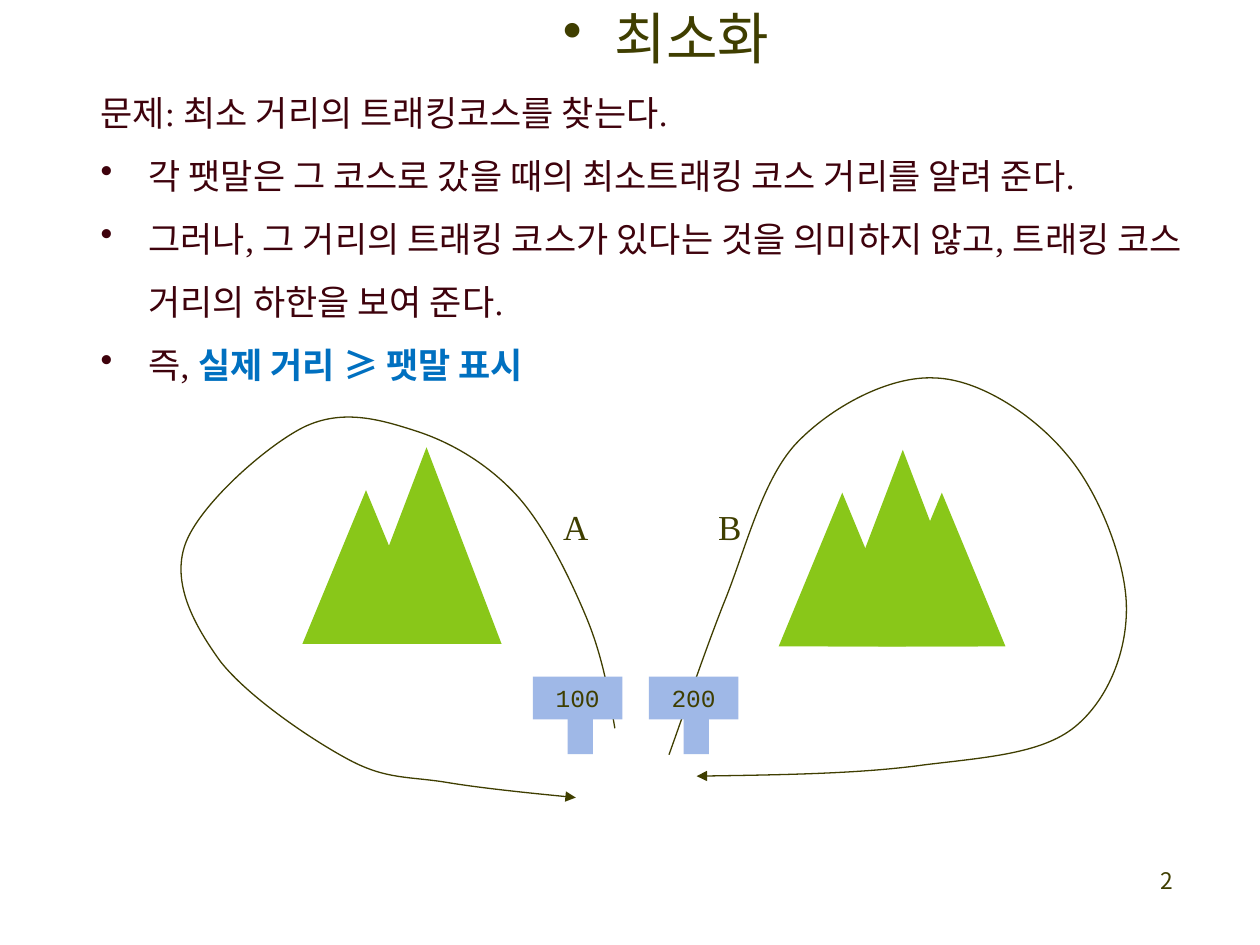
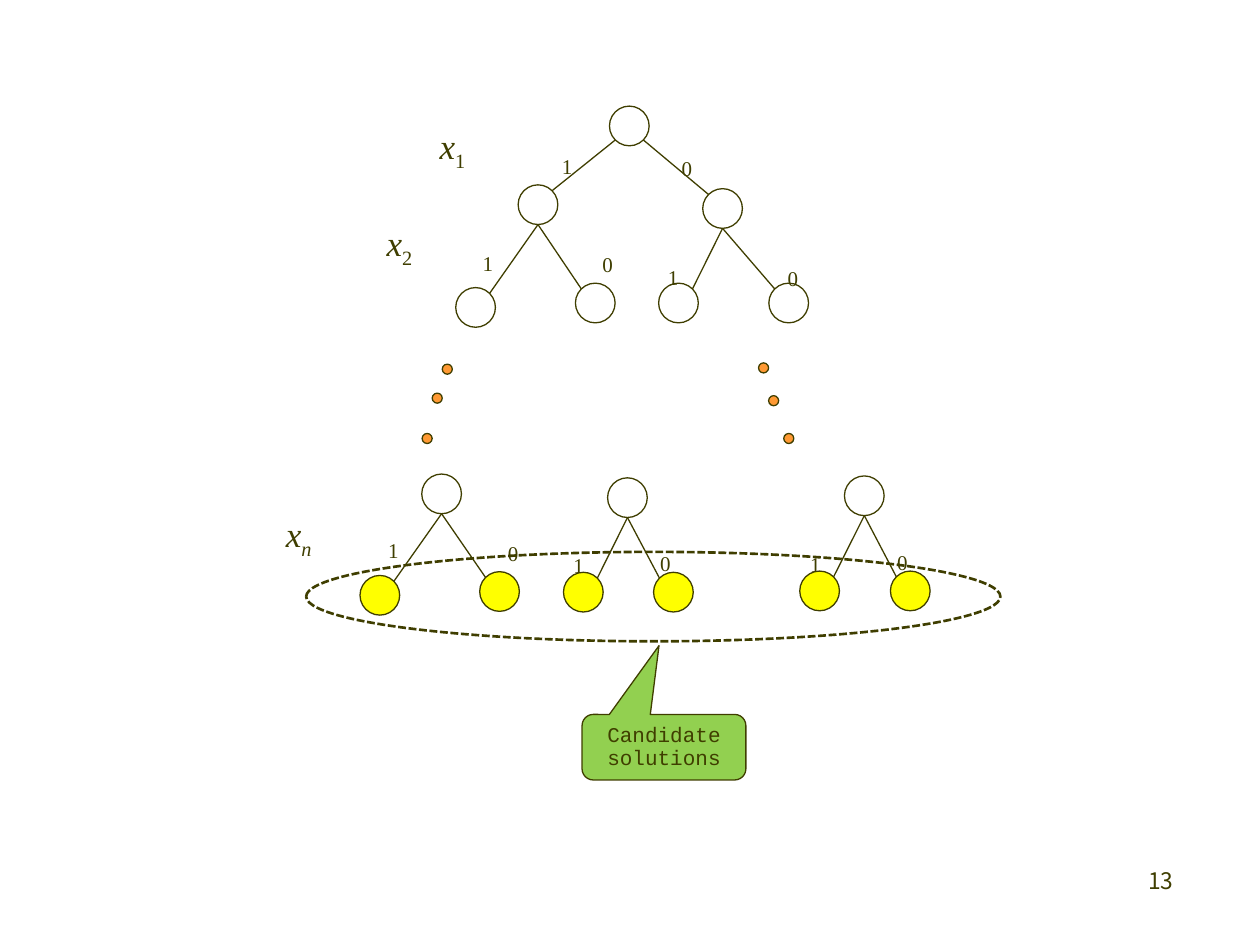
import dataclasses
import typing

import pptx
import pptx.dml.color
import pptx.enum.dml
import pptx.enum.shapes
import pptx.enum.text
import pptx.oxml.ns
import pptx.oxml.xmlchemy
import pptx.util
import lxml.etree

Point = tuple[float, float]
Box = tuple[float, float, float, float]
SHAPE = pptx.enum.shapes.MSO_SHAPE
ALIGN = pptx.enum.text.PP_ALIGN
ANCHOR = pptx.enum.text.MSO_ANCHOR
qn = pptx.oxml.ns.qn

COLUMNS, ROWS = 100, 75
INK, MAROON, BLUE = "3F3E00", "3E020C", "0070C0"
GREEN, SIGN, ORANGE, YELLOW, LIME = "89C719", "9FB8E7", "FF9933", "FFFF00", "92D050"
SERIF, MONO, KOREAN = "Times New Roman", "Courier New", "Noto Sans CJK KR"
NODE, DOT = 3.15, 0.8
CORNER = 1.1
LABEL_SPACING = pptx.util.Pt(28)

deck = pptx.Presentation()
deck.slide_width = pptx.util.Inches(10)
deck.slide_height = pptx.util.Inches(7.5)


@dataclasses.dataclass(frozen=True)
class Signpost:
    left: float
    distance: str


@dataclasses.dataclass(frozen=True)
class Course:
    name: str
    label: Box
    curve: list[Point]


@dataclasses.dataclass(frozen=True)
class Branch:
    parent: Point
    children: tuple[Point, Point]
    labels: tuple[Point, Point]
    fill: typing.Optional[str] = None


@dataclasses.dataclass(frozen=True)
class Variable:
    at: Point
    index: str
    slanted: bool = False


def across(columns: float) -> int:
    return round(deck.slide_width * columns / COLUMNS)


def down(rows: float) -> int:
    return round(deck.slide_height * rows / ROWS)


def place(box: Box) -> tuple[int, int, int, int]:
    left, top, width, height = box
    return across(left), down(top), across(width), down(height)


def color(value: str) -> pptx.dml.color.RGBColor:
    return pptx.dml.color.RGBColor.from_string(value)


def paint(shape, fill: typing.Optional[str] = None,
          line: typing.Optional[str] = None, width: float = 0.75) -> None:
    shape.shadow.inherit = False
    if fill:
        shape.fill.solid()
        shape.fill.fore_color.rgb = color(fill)
    else:
        shape.fill.background()
    if line:
        shape.line.color.rgb = color(line)
        shape.line.width = pptx.util.Pt(width)
    else:
        shape.line.fill.background()


def draw(shapes, kind, box: Box, **style):
    shape = shapes.add_shape(kind, *place(box))
    paint(shape, **style)
    return shape


def write(para, text: str, *, size: float, font: str = SERIF, ink: str = INK,
          bold: bool = False, italic: bool = False, baseline: int = 0,
          align=None, spacing=None) -> None:
    span = para.add_run()
    span.text = text
    span.font.size = pptx.util.Pt(size)
    span.font.name = font
    span.font.bold = bold
    span.font.italic = italic
    span.font.color.rgb = color(ink)
    properties = span._r.get_or_add_rPr()
    east_asian = lxml.etree.SubElement(properties, qn("a:ea"))
    east_asian.set("typeface", KOREAN)
    if baseline:
        properties.set("baseline", str(baseline * 1000))
    if align is not None:
        para.alignment = align
    if spacing is not None:
        para.line_spacing = spacing


def text_box(page, box: Box, wrap: bool = True, side: float = 1):
    frame = page.shapes.add_textbox(*place(box)).text_frame
    frame.word_wrap = wrap
    frame.margin_left = frame.margin_right = across(side)
    return frame


def bullet(para, indent: float) -> None:
    properties = para._p.get_or_add_pPr()
    properties.set("marL", str(across(indent)))
    properties.set("indent", str(-across(indent)))
    lxml.etree.SubElement(properties, qn("a:buChar")).set("char", "•")


def new_page(number: int):
    page = deck.slides.add_slide(deck.slide_layouts[6])
    frame = text_box(page, (73.3, 68.3, 20.8, 5))
    write(frame.paragraphs[0], str(number), size=13, font=KOREAN, align=ALIGN.RIGHT)
    return page


def draw_course(page, course: Course) -> None:
    points = [(across(x), down(y)) for x, y in course.curve]
    builder = page.shapes.build_freeform(*points[0], scale=1.0)
    builder.add_line_segments(points[1:], close=False)
    shape = builder.convert_to_shape()
    paint(shape, line=INK)
    properties = shape._element.spPr
    segments = list(properties.iter(qn("a:lnTo")))
    for first in range(0, len(segments), 3):
        bezier = lxml.etree.Element(qn("a:cubicBezTo"))
        segments[first].addprevious(bezier)
        for segment in segments[first:first + 3]:
            bezier.append(segment[0])
            segment.getparent().remove(segment)
    outline = properties.find(qn("a:ln"))
    lxml.etree.SubElement(outline, qn("a:tailEnd")).set("type", "triangle")
    frame = text_box(page, course.label, wrap=False)
    write(frame.paragraphs[0], course.name, size=20, spacing=LABEL_SPACING)


def draw_signpost(page, post: Signpost) -> None:
    group = page.shapes.add_group_shape()
    board = draw(group.shapes, SHAPE.RECTANGLE, (post.left, 53.7, 7.1, 3.4), fill=SIGN)
    frame = board.text_frame
    frame.vertical_anchor = ANCHOR.MIDDLE
    write(frame.paragraphs[0], post.distance, size=14, font=MONO, align=ALIGN.CENTER)
    pole = draw(group.shapes, SHAPE.RECTANGLE, (post.left + 2.1, 57.2, 3.3, 2), fill=SIGN)
    pole.rotation = 90


def draw_circle(page, center: Point, size: float, fill: typing.Optional[str]) -> None:
    x, y = center
    box = (x - size / 2, y - size / 2, size, size)
    draw(page.shapes, SHAPE.OVAL, box, fill=fill, line=INK)


def draw_edge(page, start: Point, end: Point) -> None:
    edge = page.shapes.add_connector(
        pptx.enum.shapes.MSO_CONNECTOR.STRAIGHT,
        across(start[0]), down(start[1]), across(end[0]), down(end[1]))
    edge.line.color.rgb = color(INK)
    edge.line.width = pptx.util.Pt(0.75)
    lxml.etree.SubElement(edge._element.spPr, qn("a:effectLst"))


def draw_branch(page, branch: Branch, parents: set[Point], is_root: bool) -> None:
    x, y = branch.parent
    draw_circle(page, branch.parent, NODE, None)
    for side, digit, child, label in zip((-1, 1), "10", branch.children, branch.labels):
        if child not in parents:
            draw_circle(page, child, NODE, branch.fill)
        start = (x + side * CORNER, y + CORNER) if is_root else (x, y + NODE / 2)
        draw_edge(page, start, (child[0] - side * CORNER, child[1] - CORNER))
        frame = text_box(page, (*label, 1.1, 4.4), side=0.1)
        write(frame.paragraphs[0], digit, size=12, spacing=LABEL_SPACING)


def build_courses_page() -> None:
    page = new_page(2)
    small, tall = (10.1, 12.2), (11.9, 15.6)
    peaks = [(24, 38.9, small), (27.9, 35.5, tall),
             (61.8, 39.1, small), (65.7, 35.7, tall), (69.7, 39.1, small)]
    for left, top, size in peaks:
        draw(page.shapes, SHAPE.ISOSCELES_TRIANGLE, (left, top, *size), fill=GREEN)

    courses = [
        Course("A", (43.7, 39.1, 4.1, 4.6), [
            (48.8, 57.8), (48.3, 54.9), (47.8, 52), (46.5, 48.9),
            (45.2, 45.8), (43.2, 41.7), (41, 39.3), (38.7, 36.8), (35.8, 35.1), (33, 34.2),
            (30.2, 33.3), (27.2, 32.4), (24.1, 33.9), (21.1, 35.4), (15.8, 40.1), (14.7, 43.2),
            (13.6, 46.3), (15.4, 49.6), (17.5, 52.5), (19.7, 55.3), (24.7, 58.7), (27.7, 60.3),
            (30.7, 61.9), (32.5, 61.6), (35.5, 62.1), (38.5, 62.6), (45.7, 63.3), (45.7, 63.3)]),
        Course("B", (56, 39.1, 3.9, 4.6), [
            (53.1, 59.9), (54.5, 56), (55.8, 52.1), (57.4, 48),
            (59.1, 43.9), (60.4, 38.3), (63.1, 35.3), (65.9, 32.3), (70.6, 29.8), (74.2, 30),
            (77.8, 30.1), (82.1, 33), (84.6, 36), (87.2, 39), (89.3, 44.4), (89.4, 48),
            (89.5, 51.6), (88, 55.5), (85.3, 57.7), (82.7, 59.8), (78.4, 60.1), (73.4, 60.7),
            (68.4, 61.4), (61.9, 61.5), (55.3, 61.6)]),
    ]
    for course in courses:
        draw_course(page, course)
    for post in (Signpost(42.3, "100"), Signpost(51.5, "200")):
        draw_signpost(page, post)

    frame = text_box(page, (7, 5.1, 89.1, 26.3))
    lines = ["문제: 최소 거리의 트래킹코스를 찾는다.",
             "각 팻말은 그 코스로 갔을 때의 최소트래킹 코스 거리를 알려 준다.",
             "그러나, 그 거리의 트래킹 코스가 있다는 것을 의미하지 않고, "
             "트래킹 코스 거리의 하한을 보여 준다.",
             "즉, "]
    for index, line in enumerate(lines):
        para = frame.add_paragraph() if index else frame.paragraphs[0]
        write(para, line, size=20, ink=MAROON, spacing=pptx.util.Pt(36))
        if index:
            bullet(para, 3.8)
    write(para, "실제 거리 ≥ 팻말 표시", size=20, ink=BLUE, bold=True)

    title = text_box(page, (43.7, 1.2, 19.3, 4.9)).paragraphs[0]
    write(title, "최소화", size=32, spacing=LABEL_SPACING)
    bullet(title, 4.1)


def build_tree_page() -> None:
    page = new_page(13)
    left, right = (42.7, 16.25), (57.35, 16.55)
    branches = [
        Branch((49.95, 10), (left, right), ((44.5, 9.8), (54, 10))),
        Branch(left, ((37.75, 24.4), (47.25, 24.05)), ((38.2, 17.5), (47.7, 17.6))),
        Branch(right, ((53.85, 24.05), (62.6, 24.05)), ((52.9, 18.6), (62.4, 18.7))),
        Branch((35.05, 39.2), ((30.15, 47.25), (39.65, 46.95)),
               ((30.7, 40.3), (40.2, 40.5)), YELLOW),
        Branch((49.8, 39.5), ((46.3, 47), (53.45, 47)),
               ((45.4, 41.5), (52.3, 41.3)), YELLOW),
        Branch((68.6, 39.35), ((65.05, 46.9), (72.25, 46.9)),
               ((64.2, 41.4), (71.1, 41.2)), YELLOW),
    ]
    parents = {branch.parent for branch in branches}
    for branch in branches:
        draw_branch(page, branch, parents, branch is branches[0])

    dots = [(35.5, 29.3), (34.7, 31.6), (33.9, 34.8),
            (60.6, 29.2), (61.4, 31.8), (62.6, 34.8)]
    for center in dots:
        draw_circle(page, center, DOT, ORANGE)

    variables = [Variable((33.9, 9.3), "1"), Variable((29.7, 17), "2"),
                 Variable((21.7, 40.1), "n", slanted=True)]
    for variable in variables:
        para = text_box(page, (*variable.at, 4.2, 4.6), wrap=False).paragraphs[0]
        write(para, "x", size=20, italic=True, spacing=LABEL_SPACING)
        write(para, variable.index, size=20, italic=variable.slanted, baseline=-25)

    callout = draw(page.shapes, SHAPE.ROUNDED_RECTANGULAR_CALLOUT,
                   (46.2, 56.7, 13, 5.2), fill=LIME, line=INK)
    for index, value in enumerate((-0.03, -1.55, 0.17)):
        callout.adjustments[index] = value
    frame = callout.text_frame
    frame.word_wrap = True
    frame.vertical_anchor = ANCHOR.MIDDLE
    write(frame.paragraphs[0], "Candidate solutions", size=12, font=MONO,
          align=ALIGN.CENTER, spacing=0.9)

    ring = draw(page.shapes, SHAPE.OVAL, (24.3, 43.8, 55.1, 7.1), line=INK, width=1.5)
    ring.line.dash_style = pptx.enum.dml.MSO_LINE.SQUARE_DOT


build_courses_page()
build_tree_page()
deck.save("out.pptx")
